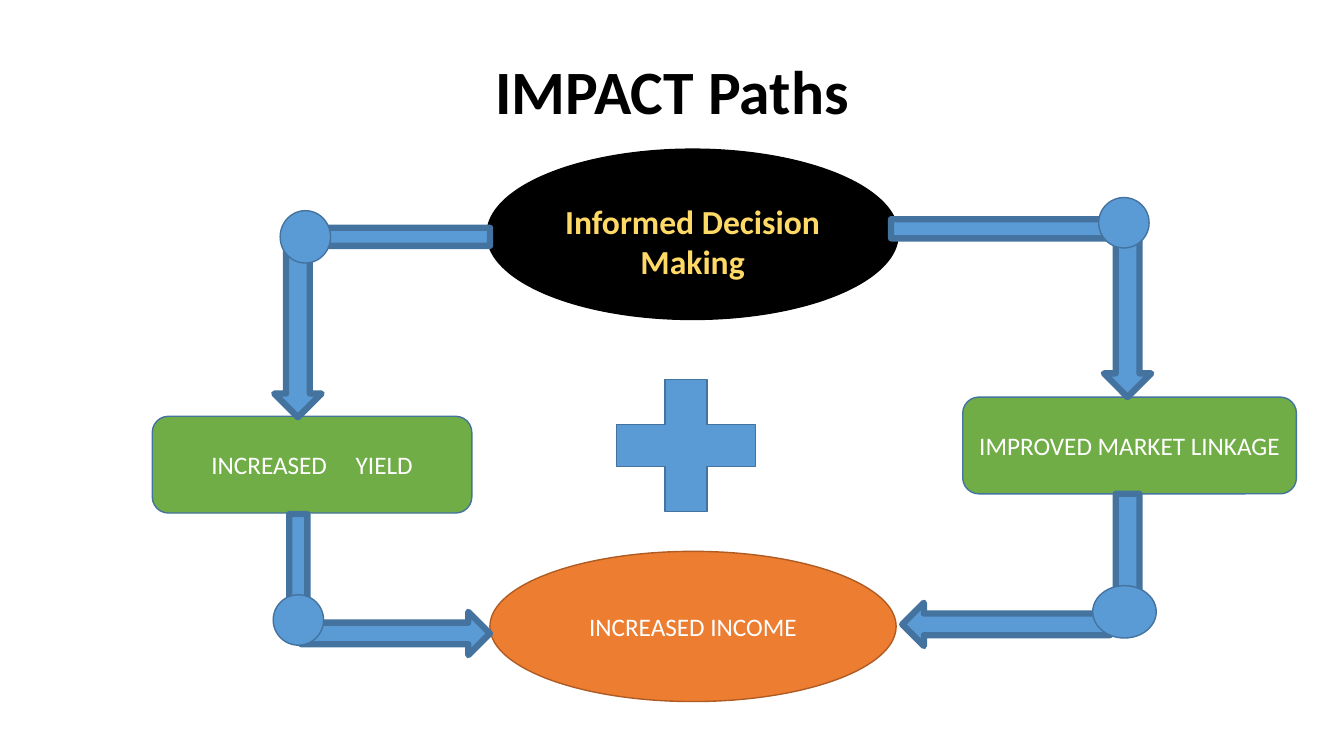
import pptx
import pptx.util
import pptx.dml.color
import pptx.enum.shapes
import pptx.enum.text

COLORS = {
    "black": "000000", "white": "FFFFFF", "gold": "FFD966",
    "blue": "5B9BD5", "navy": "43739E", "green": "70AD47",
    "orange": "ED7D31", "rust": "AF5C24",
}
KIND = pptx.enum.shapes.MSO_SHAPE


def color(name):
    return pptx.dml.color.RGBColor.from_string(COLORS[name])


class Board:
    font_name = "Calibri"

    def __init__(self, deck):
        self.deck = deck
        self.page = deck.slides.add_slide(deck.slide_layouts[5])

    def area(self, shares):
        left, top, width, height = shares
        across, down = self.deck.slide_width / 100, self.deck.slide_height / 100
        return int(left * across), int(top * down), int(width * across), int(height * down)

    def label(self, box, text, size, ink, bold=False):
        frame = box.text_frame
        frame.word_wrap = True
        frame.vertical_anchor = pptx.enum.text.MSO_ANCHOR.MIDDLE
        para = frame.paragraphs[0]
        para.text = text
        para.alignment = pptx.enum.text.PP_ALIGN.CENTER
        para.font.name = self.font_name
        para.font.size = pptx.util.Pt(size)
        para.font.bold = bold
        para.font.color.rgb = color(ink)
        return para

    def title(self, text, shares):
        box = self.page.shapes.title
        box.left, box.top, box.width, box.height = self.area(shares)
        para = self.label(box, text, 44, "black", bold=True)
        para.line_spacing = 0.9
        box.text_frame.auto_size = pptx.enum.text.MSO_AUTO_SIZE.NONE

    def shape(self, kind, shares, fill="blue", line="navy", weight=1):
        box = self.page.shapes.add_shape(kind, *self.area(shares))
        box.shadow.inherit = False
        box.fill.solid()
        box.fill.fore_color.rgb = color(fill)
        box.line.color.rgb = color(line)
        box.line.width = pptx.util.Pt(weight)
        return box

    def arrow(self, kind, shares):
        return self.shape(kind, shares, weight=4.5)

    def joint(self, shares):
        return self.shape(KIND.FLOWCHART_CONNECTOR, shares)

    def outcome(self, kind, shares, text, fill="green", line="navy"):
        box = self.shape(kind, shares, fill, line)
        return self.label(box, text, 18, "white")


deck = pptx.Presentation()
deck.slide_width = pptx.util.Inches(13.33)
deck.slide_height = pptx.util.Inches(7.5)
board = Board(deck)

board.title("IMPACT Paths", (6.9, 5.33, 86.25, 14.4))

decision = board.shape(KIND.OVAL, (36.23, 19.73, 30.6, 22.53), "black", "black")
decision.text_frame.margin_top = pptx.util.Inches(0.18)
board.label(decision, "Informed Decision Making", 24, "gold", bold=True)

increase = board.outcome(KIND.ROUNDED_RECTANGLE, (11.33, 55.07, 23.78, 12.8), "INCREASED")
gap, goal = increase.add_run(), increase.add_run()
gap.text, goal.text = " ", "YIELD"
gap._r.get_or_add_rPr().set("spc", "1630")

board.outcome(KIND.ROUNDED_RECTANGLE, (71.63, 52.53, 24.83, 12.8), "IMPROVED MARKET LINKAGE")
board.outcome(KIND.OVAL, (36.45, 72.93, 30.23, 19.87), "INCREASED INCOME", "orange", "rust")

upper_arrows = [
    (KIND.RIGHT_ARROW, (66.3, 27.73, 18.3, 5.07)),
    (KIND.DOWN_ARROW, (82.13, 28.53, 3.53, 24)),
    (KIND.LEFT_ARROW, (22.13, 28.93, 14.33, 4.8)),
    (KIND.DOWN_ARROW, (20.4, 30.27, 3.53, 24.93)),
]
upper_joints = [(81.75, 26.13, 3.75, 6.67), (20.85, 27.87, 3.75, 6.93)]
lower_arrows = [
    (KIND.DOWN_ARROW, (82.13, 65.33, 3.53, 17.47)),
    (KIND.LEFT_ARROW, (67.13, 79.73, 15.45, 5.73)),
    (KIND.RIGHT_ARROW, (22.43, 80.93, 14.03, 5.73)),
    (KIND.DOWN_ARROW, (20.85, 68, 2.7, 15.87)),
]
lower_joints = [(20.33, 78.67, 3.75, 6.67), (81.3, 77.47, 4.73, 6.93)]

for arrows, joints in ((upper_arrows, upper_joints), (lower_arrows, lower_joints)):
    for kind, shares in arrows:
        board.arrow(kind, shares)
    for shares in joints:
        board.joint(shares)

board.shape(KIND.MATH_PLUS, (44.03, 47.07, 14.03, 23.73))

deck.save("out.pptx")
